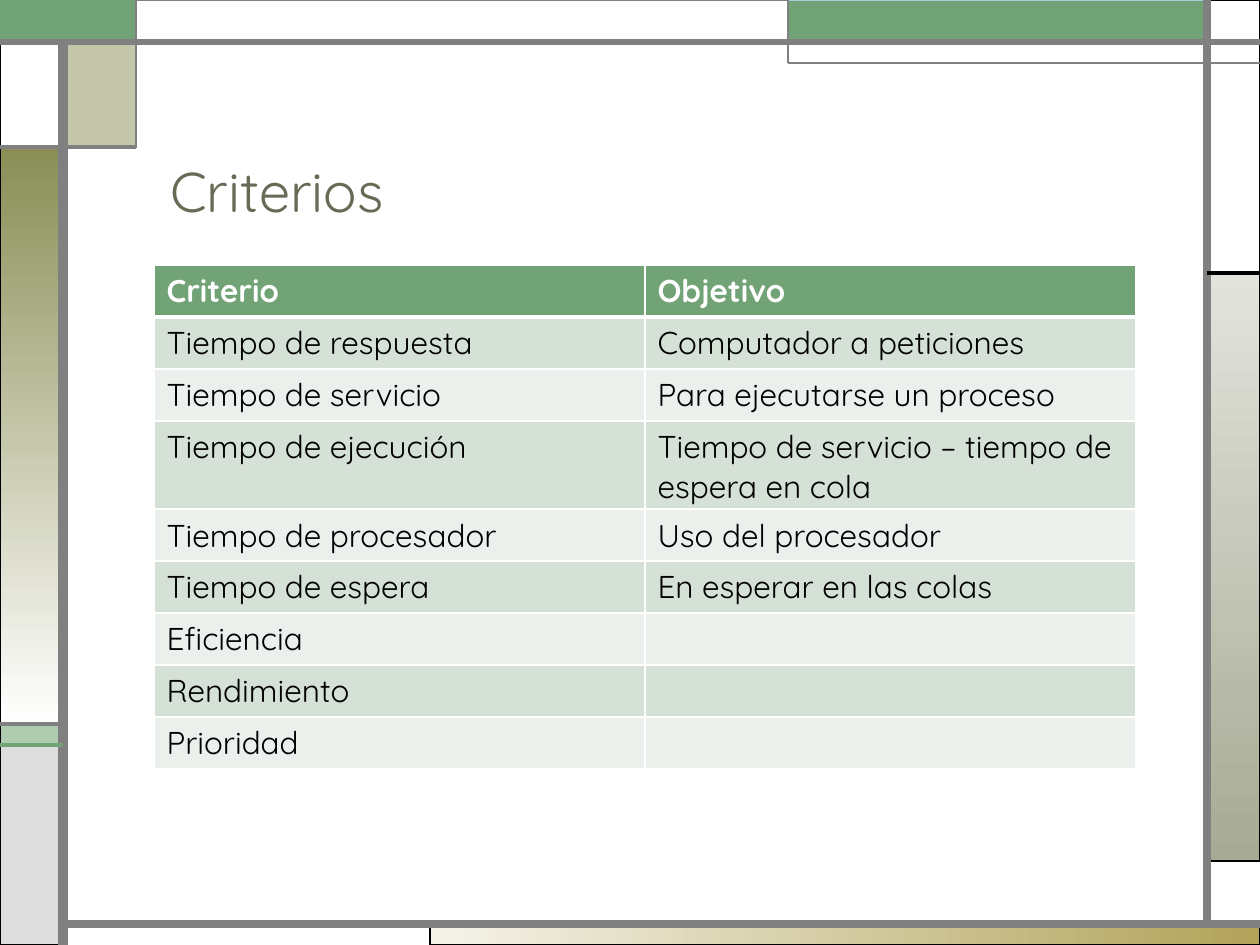
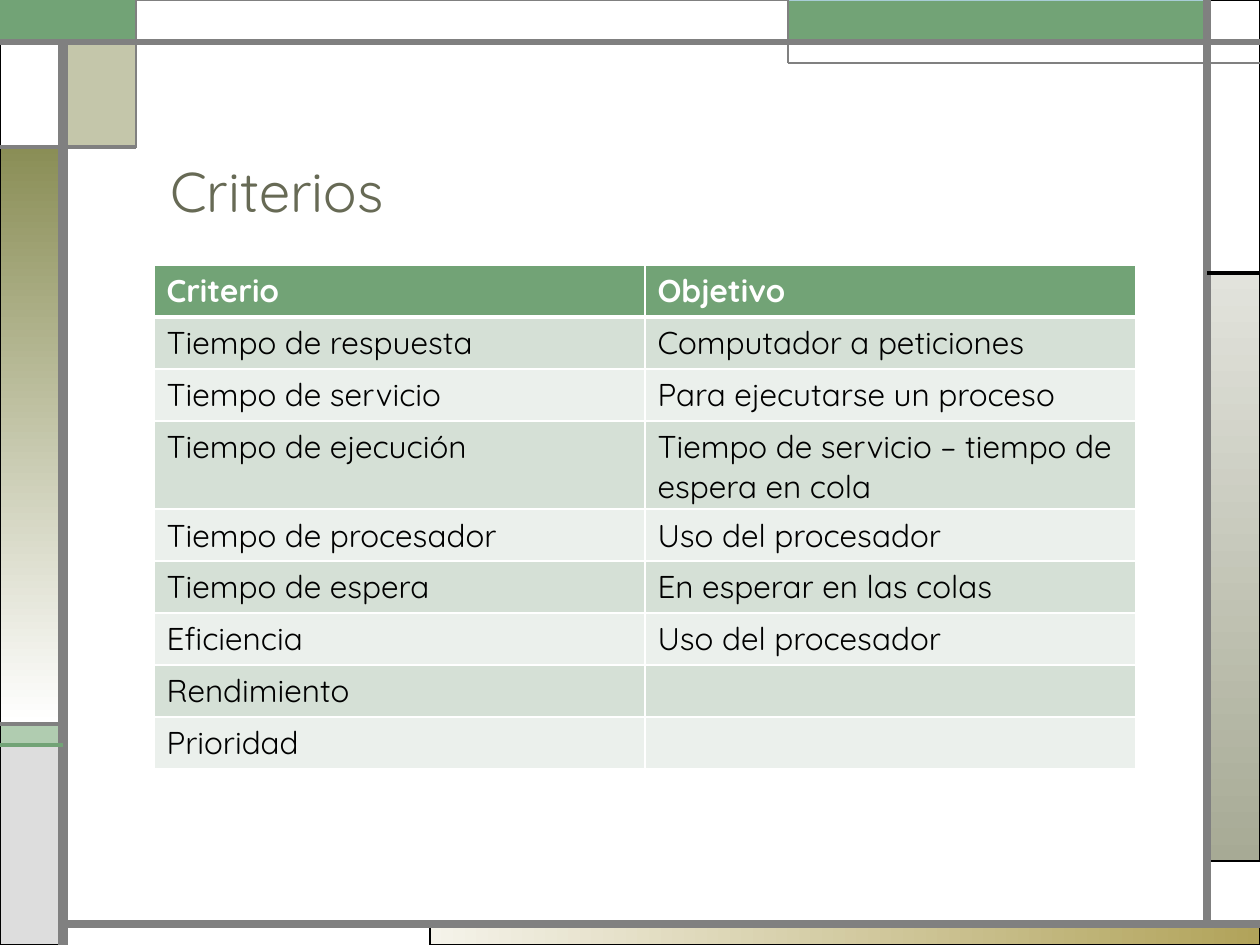
"""Build two slides with a table of scheduling criteria inside a mosaic frame."""
import pptx
import pptx.dml.color
import pptx.enum.shapes
import pptx.enum.text
import pptx.oxml.ns
import pptx.util
import lxml.etree

PIXEL = 914400 / 126
WIDTH, HEIGHT = 1260, 945
LEFT, TAB, MIDDLE, RIGHT = 63, 136, 788, 1207
TOP, STEP, CORNER, SIDE, BAND, BASE, BOTTOM = 42, 63, 147, 273, 724, 745, 924
COLORS = {
    "white": "FFFFFF", "black": "000000", "gray": "808080", "silver": "DDDDDD",
    "green": "72A376", "mint": "B0CCB0", "sky": "A8CDD7", "olive": "8A8E56",
    "cream": "F5F3EA", "gold": "B1A35A", "mist": "E2E3DC", "sage": "A7AA95",
    "title": "676A55", "odd": "D5E0D6", "even": "EBF0EC",
}
PANELS = [
    (430, BOTTOM, WIDTH, HEIGHT, ("cream", "gold", 0), "black", 0.75),
    (RIGHT, SIDE, WIDTH, 861, ("mist", "sage", 270), "black", 0.75),
    (0, BAND, LEFT, BASE, "mint", "black", 0.75),
    (0, BASE, LEFT, HEIGHT, "silver", "black", 0.75),
    (RIGHT, 0, WIDTH, SIDE, "white", "black", 0.75),
    (MIDDLE, 0, RIGHT, TOP, "green", "sky", 0.75),
    (LEFT, TOP, TAB, CORNER, "olive", "black", 0.75, 50),
    (0, CORNER, LEFT, BAND, ("olive", "white", 270), "black", 0.75),
    (0, TOP, LEFT, CORNER, "white", "black", 0.75),
    (0, 0, TAB, TOP, "green", "green", 1.5),
    (TAB, 0, MIDDLE, TOP, "white", "gray", 0.75),
]
BARS = [
    (LEFT, HEIGHT, LEFT, TOP, "gray", 6),
    (LEFT, BOTTOM, WIDTH, BOTTOM, "gray", 4.5),
    (RIGHT, BOTTOM, RIGHT, 0, "gray", 4.5),
    (0, TOP, WIDTH, TOP, "gray", 3),
    (WIDTH, STEP, MIDDLE, STEP, "gray", 1.5),
    (MIDDLE, STEP, MIDDLE, 0, "gray", 1.5),
    (RIGHT, SIDE, WIDTH, SIDE, "black", 2.25),
    (TAB, 0, TAB, CORNER, "gray", 1.5),
    (TAB, CORNER, 0, CORNER, "gray", 2.25),
    (LEFT, BAND, 0, BAND, "gray", 2.25),
    (LEFT, BASE, 0, BASE, "green", 2.25),
]


def px(*lengths):
    """Turn pixels into EMU."""
    return [pptx.util.Emu(round(length * PIXEL)) for length in lengths]


def rgb(name):
    """Look up a named colour."""
    return pptx.dml.color.RGBColor.from_string(COLORS[name])


def child(parent, tag, **attributes):
    """Append a drawing element and return it."""
    return lxml.etree.SubElement(parent, pptx.oxml.ns.qn(tag), **attributes)


class Painter:
    """Hold the style and the slide being drawn."""

    font = "Quicksand"

    def __init__(self, deck):
        """Keep the deck."""
        self.deck = deck
        self.page = None

    def new_page(self):
        """Start a blank slide with the shared frame."""
        self.page = self.deck.slides.add_slide(self.deck.slide_layouts[6])
        self.page.background.fill.solid()
        self.page.background.fill.fore_color.rgb = rgb("white")
        for panel in PANELS:
            self.panel(*panel)
        for bar in BARS:
            self.bar(*bar)

    def panel(self, left, top, right, bottom, fill, line, weight, alpha=None):
        """Draw a plain or gradient rectangle between two corners."""
        box = self.page.shapes.add_shape(
            pptx.enum.shapes.MSO_SHAPE.RECTANGLE, *px(left, top, right - left, bottom - top))
        box.shadow.inherit = False
        if isinstance(fill, tuple):
            *names, angle = fill
            box.fill.gradient()
            box.fill.gradient_angle = angle
            for stop, name in zip(box.fill.gradient_stops, names):
                stop.color.rgb = rgb(name)
        else:
            box.fill.solid()
            box.fill.fore_color.rgb = rgb(fill)
        if alpha is not None:
            color = box.element.spPr.find(".//" + pptx.oxml.ns.qn("a:srgbClr"))
            child(color, "a:alpha", val=str(alpha * 1000))
        box.line.color.rgb = rgb(line)
        box.line.width = pptx.util.Pt(weight)

    def bar(self, x1, y1, x2, y2, color, weight):
        """Draw a straight line."""
        line = self.page.shapes.add_connector(
            pptx.enum.shapes.MSO_CONNECTOR.STRAIGHT, *px(x1, y1, x2, y2))
        line.line.color.rgb = rgb(color)
        line.line.width = pptx.util.Pt(weight)
        child(line.element.spPr, "a:effectLst")

    def add_text(self, para, text, size, color, bold=False):
        """Add one styled run."""
        span = para.add_run()
        span.text = text
        span.font.name = self.font
        span.font.size = pptx.util.Pt(size)
        span.font.bold = bold
        span.font.color.rgb = rgb(color)

    def title(self, text):
        """Add the slide title."""
        frame = self.page.shapes.add_textbox(*px(158, 73, 992, 158)).text_frame
        frame.word_wrap = True
        frame.vertical_anchor = pptx.enum.text.MSO_ANCHOR.BOTTOM
        para = frame.paragraphs[0]
        para.line_spacing = 0.9
        self.add_text(para, text, 32, "title")

    def borders(self, cell, header):
        """Give a cell white borders, thicker under the header."""
        sides = {"L": 1, "R": 1, "T": 1, "B": 3} if header else {"L": 1, "R": 1, "B": 1}
        for side, weight in sides.items():
            line = child(cell._tc.get_or_add_tcPr(), "a:ln" + side,
                         w=str(int(pptx.util.Pt(weight))))
            child(child(line, "a:solidFill"), "a:srgbClr", val=COLORS["white"])

    def table(self, rows):
        """Draw a banded table with a header row."""
        row_height, column_width = 52, 491
        grid = self.page.shapes.add_table(
            len(rows), 2, *px(154, 265, 2 * column_width, row_height * len(rows))).table
        grid.first_row = grid.horz_banding = False
        for index, row in enumerate(rows):
            header = index == 0
            fill = "green" if header else "odd" if index % 2 else "even"
            for column, text in enumerate(row):
                cell = grid.cell(index, column)
                self.borders(cell, header)
                cell.fill.solid()
                cell.fill.fore_color.rgb = rgb(fill)
                if text:
                    self.add_text(cell.text_frame.paragraphs[0], text, 18,
                                  "white" if header else "black", header)


def main():
    """Build and save the deck."""
    deck = pptx.Presentation()
    deck.slide_width, deck.slide_height = px(WIDTH, HEIGHT)
    painter = Painter(deck)
    for efficiency in ("", "Uso del procesador"):
        painter.new_page()
        painter.title("Criterios")
        painter.table([
            ("Criterio", "Objetivo"),
            ("Tiempo de respuesta", "Computador a peticiones"),
            ("Tiempo de servicio", "Para ejecutarse un proceso"),
            ("Tiempo de ejecución", "Tiempo de servicio – tiempo de espera en cola"),
            ("Tiempo de procesador", "Uso del procesador"),
            ("Tiempo de espera", "En esperar en las colas"),
            ("Eficiencia", efficiency),
            ("Rendimiento", ""),
            ("Prioridad", ""),
        ])
    deck.save("out.pptx")


main()
